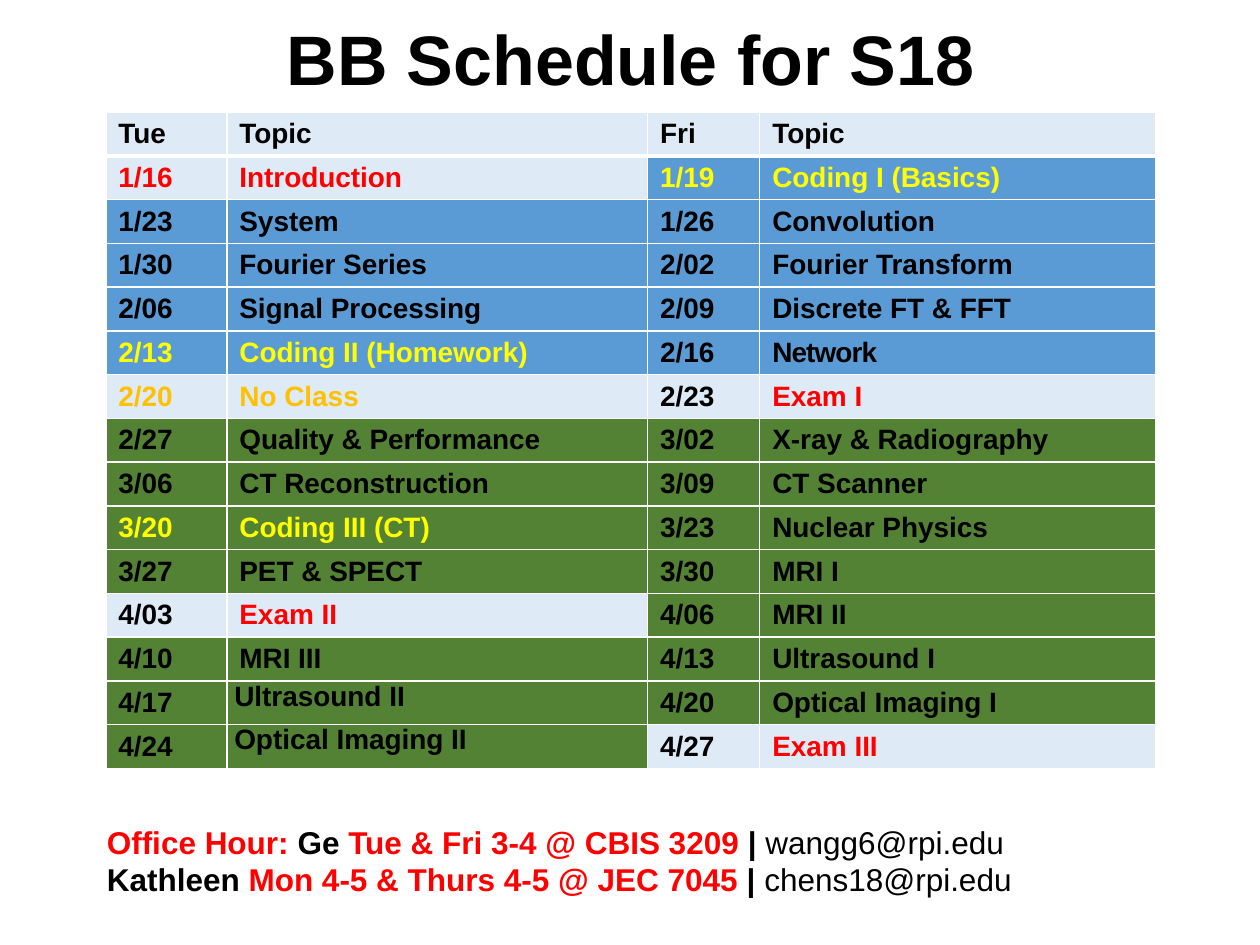
from typing import NamedTuple

from lxml import etree
from pptx import Presentation
from pptx.dml.color import RGBColor
from pptx.enum.text import MSO_ANCHOR, PP_ALIGN
from pptx.oxml.ns import qn
from pptx.util import Inches, Pt

CENTER = PP_ALIGN.CENTER
MIDDLE = MSO_ANCHOR.MIDDLE

BLACK, WHITE, RED = "000000", "FFFFFF", "FF0000"
YELLOW, ORANGE = "FFFF00", "FFC000"
PALE, BLUE, GREEN = "DEEBF7", "5B9BD5", "548235"

COL_WIDTHS = (0.96, 3.34, 0.89, 3.14)
ROW_HEIGHT = 0.33


class Session(NamedTuple):
    """One class day: a date cell and a topic cell with a shared fill."""
    date: str
    topic: str
    fill: str
    color: str = BLACK
    date_color: str = BLACK
    spacing: float = 0
    tight: bool = False


def lab(date: str, topic: str, fill: str) -> Session:
    return Session(date, topic, fill, YELLOW, YELLOW)


def exam(date: str, topic: str) -> Session:
    return Session(date, topic, PALE, RED)


SCHEDULE = [
    (Session("Tue", "Topic", PALE), Session("Fri", "Topic", PALE)),
    (Session("1/16", "Introduction", PALE, RED, RED), lab("1/19", "Coding I (Basics)", BLUE)),
    (Session("1/23", "System", BLUE), Session("1/26", "Convolution", BLUE)),
    (Session("1/30", "Fourier Series", BLUE), Session("2/02", "Fourier Transform", BLUE)),
    (Session("2/06", "Signal Processing", BLUE), Session("2/09", "Discrete FT & FFT", BLUE)),
    (lab("2/13", "Coding II (Homework)", BLUE), Session("2/16", "Network", BLUE, spacing=-0.5)),
    (Session("2/20", "No Class", PALE, ORANGE, ORANGE), exam("2/23", "Exam I")),
    (Session("2/27", "Quality & Performance", GREEN), Session("3/02", "X-ray & Radiography", GREEN)),
    (Session("3/06", "CT Reconstruction", GREEN), Session("3/09", "CT Scanner", GREEN)),
    (lab("3/20", "Coding III (CT)", GREEN), Session("3/23", "Nuclear Physics", GREEN)),
    (Session("3/27", "PET & SPECT", GREEN), Session("3/30", "MRI I", GREEN)),
    (exam("4/03", "Exam II"), Session("4/06", "MRI II", GREEN)),
    (Session("4/10", "MRI III", GREEN), Session("4/13", "Ultrasound I", GREEN)),
    (Session("4/17", "Ultrasound II", GREEN, tight=True), Session("4/20", "Optical Imaging I", GREEN)),
    (Session("4/24", "Optical Imaging II", GREEN, tight=True), exam("4/27", "Exam III")),
]

OFFICE_HOURS = [
    [("Office Hour: ", RED, True), ("Ge", BLACK, True),
     (" Tue & Fri 3-4 @ CBIS 3209 ", RED, True), ("| ", BLACK, True),
     ("wangg6@rpi.edu", BLACK, False)],
    [("Kathleen ", BLACK, True), ("Mon 4-5 & Thurs 4-5 @ JEC 7045 ", RED, True),
     ("| ", BLACK, True), ("chens18@rpi.edu", BLACK, False)],
]


def rgb(color: str) -> RGBColor:
    return RGBColor.from_string(color)


def add_text(p, text: str, *, size: float, color: str = BLACK,
             bold: bool = True, spacing: float = 0) -> None:
    r = p.add_run()
    r.text = text
    r.font.name = "Arial"
    r.font.size = Pt(size)
    r.font.bold = bold
    r.font.color.rgb = rgb(color)
    if spacing:
        r.font._element.set("spc", str(round(spacing * 100)))


def add_box(slide, left: float, top: float, width: float, height: float):
    tf = slide.shapes.add_textbox(
        Inches(left), Inches(top), Inches(width), Inches(height)).text_frame
    tf.word_wrap = True
    return tf


def set_border(cell, side: str, width: float) -> None:
    ln = etree.SubElement(cell._tc.get_or_add_tcPr(), qn(f"a:ln{side}"), w=str(Pt(width)))
    fill = etree.SubElement(ln, qn("a:solidFill"))
    etree.SubElement(fill, qn("a:srgbClr"), val=WHITE)


def fill_cell(cell, text: str, fill: str, color: str, *, header: bool = False,
              below_header: bool = False, spacing: float = 0, tight: bool = False) -> None:
    # Borders precede the fill in the cell properties.
    for side in "LRTB":
        thick = (header and side == "B") or (below_header and side == "T")
        set_border(cell, side, 3 if thick else 1)
    cell.fill.solid()
    cell.fill.fore_color.rgb = rgb(fill)
    if tight:
        cell.margin_left = Inches(0.06)
        cell.margin_right = cell.margin_top = cell.margin_bottom = 0
    add_text(cell.text_frame.paragraphs[0], text, size=16, color=color, spacing=spacing)


def add_schedule(slide) -> None:
    table = slide.shapes.add_table(
        len(SCHEDULE), len(COL_WIDTHS), Inches(0.84), Inches(0.89),
        Inches(sum(COL_WIDTHS)), Inches(ROW_HEIGHT * len(SCHEDULE))).table
    table.horz_banding = False
    for column, width in zip(table.columns, COL_WIDTHS):
        column.width = Inches(width)
    for i, sessions in enumerate(SCHEDULE):
        table.rows[i].height = Inches(ROW_HEIGHT)
        edges = {"header": i == 0, "below_header": i == 1}
        for j, day in enumerate(sessions):
            fill_cell(table.cell(i, 2 * j), day.date, day.fill, day.date_color, **edges)
            fill_cell(table.cell(i, 2 * j + 1), day.topic, day.fill, day.color,
                      spacing=day.spacing, tight=day.tight, **edges)


def main() -> None:
    prs = Presentation()
    prs.slide_width, prs.slide_height = Inches(10), Inches(7.5)
    slide = prs.slides.add_slide(prs.slide_layouts[6])

    add_schedule(slide)

    tf = add_box(slide, 0.17, 0.04, 9.67, 0.92)
    tf.vertical_anchor = MIDDLE
    p = tf.paragraphs[0]
    p.alignment = CENTER
    p.line_spacing = 0.9
    add_text(p, "BB Schedule for S18", size=40)

    tf = add_box(slide, 0.75, 6.48, 9, 0.71)
    for i, line in enumerate(OFFICE_HOURS):
        p = tf.add_paragraph() if i else tf.paragraphs[0]
        for text, color, bold in line:
            add_text(p, text, size=18, color=color, bold=bold)

    prs.save("out.pptx")


if __name__ == "__main__":
    main()
